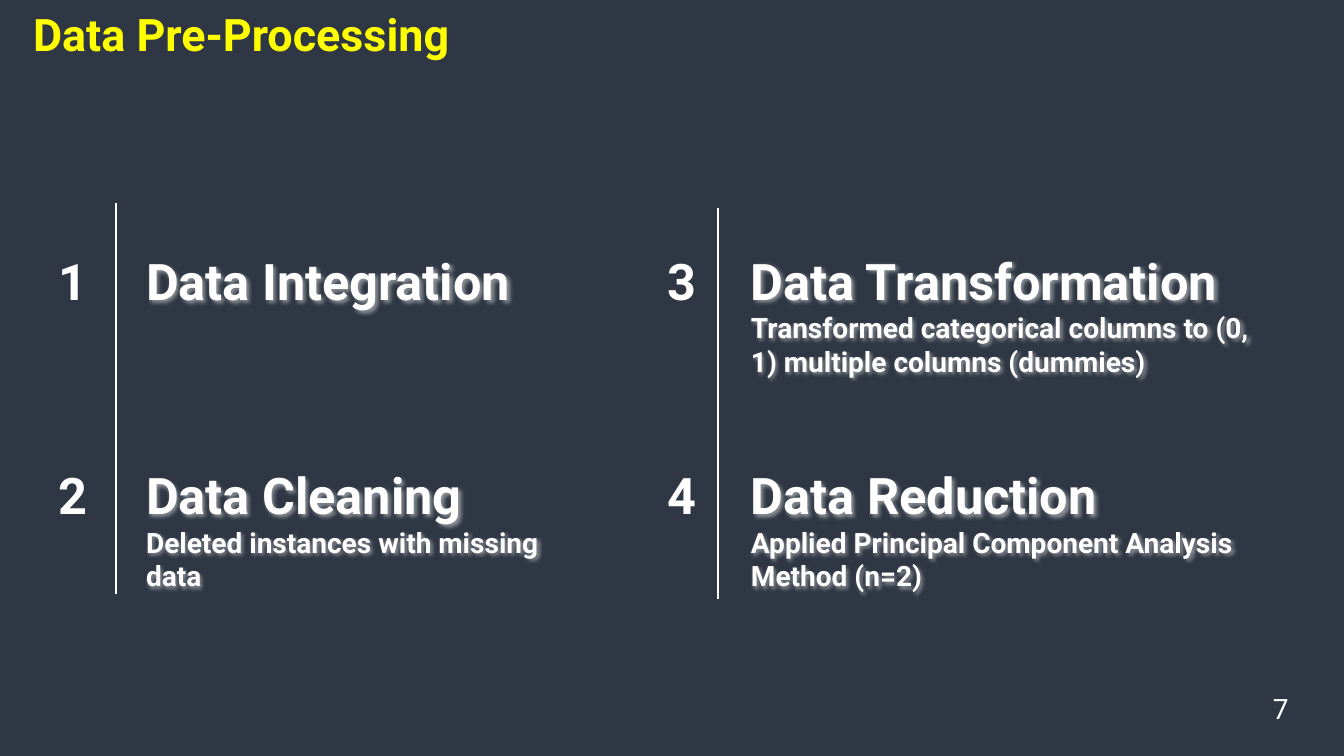
from lxml import etree
from pptx import Presentation
from pptx import util as u
from pptx.dml.color import RGBColor
from pptx.enum import shapes, text
from pptx.oxml import ns

WHITE = RGBColor(0xFF, 0xFF, 0xFF)
YELLOW = RGBColor(0xFF, 0xFF, 0x00)
NAVY = RGBColor(0x00, 0x0B, 0x1A)
GLOW = RGBColor(0xB4, 0xB8, 0xBC)

NUMBER = {"size": u.Pt(36), "bold": True}
HEADING = {"size": u.Pt(36), "bold": True}
DETAIL = {"size": u.Pt(20), "bold": True}
TITLE = {"size": u.Pt(32), "bold": True}
PAGE_NUMBER = {"size": u.Pt(20), "bold": False}

STEP_ROWS = (2.43, 4.56)
COLUMNS = [
    {"left": 0.17, "top": 2.01, "rule": 0.98, "text": 1.18, "width": 4.31,
     "steps": [("1", "Data Integration", None),
               ("2", "Data Cleaning", "Deleted instances with missing data")]},
    {"left": 6.21, "top": 2.06, "rule": 0.91, "text": 1.14, "width": 5.19,
     "steps": [("3", "Data Transformation",
                "Transformed categorical columns to (0, 1) multiple columns (dummies)"),
               ("4", "Data Reduction",
                "Applied Principal Component Analysis Method (n=2)")]},
]


def add_child(parent, tag, **attributes):
    return etree.SubElement(parent, ns.qn(tag), **attributes)


def add_text(page, place, lines, color=WHITE, align=text.PP_ALIGN.LEFT, spacing=None):
    box = page.shapes.add_textbox(*map(u.Inches, place))
    frame = box.text_frame
    frame.word_wrap = True
    for index, (words, style) in enumerate(lines):
        para = frame.add_paragraph() if index else frame.paragraphs[0]
        para.alignment = align
        para.line_spacing = spacing
        span = para.add_run()
        span.text = words
        span.font.name = "Roboto"
        span.font.color.rgb = color
        for name, value in style.items():
            setattr(span.font, name, value)
    return box


def add_glow(box):
    effects = add_child(box._element.spPr, "a:effectLst")
    shadow = add_child(effects, "a:outerShdw", blurRad="38100", dist="22860",
                       dir="2700000", algn="tl", rotWithShape="0")
    tint = add_child(shadow, "a:srgbClr", val=str(GLOW))
    add_child(tint, "a:alpha", val="70000")


def add_backdrop(page, width, height):
    backdrop = page.shapes.add_shape(shapes.MSO_SHAPE.RECTANGLE, 0, 0, width, height)
    backdrop.shadow.inherit = False
    backdrop.fill.solid()
    backdrop.fill.fore_color.rgb = NAVY
    backdrop.line.fill.background()
    tint = backdrop._element.spPr.find(".//" + ns.qn("a:srgbClr"))
    add_child(tint, "a:alpha", val="82000")


def add_step(page, left, top, text_offset, width, step):
    number, heading, detail = step
    add_text(page, (left, top, 0.8, 0.71), [(number, NUMBER)],
             align=text.PP_ALIGN.RIGHT)
    lines = [(heading, HEADING)]
    if detail:
        lines.append((detail, DETAIL))
    height = 1.38 if detail else 0.71
    add_glow(add_text(page, (left + text_offset, top, width, height), lines))


def add_column(page, column):
    left, top = column["left"], column["top"]
    x = u.Inches(left + column["rule"])
    rule = page.shapes.add_connector(shapes.MSO_CONNECTOR.STRAIGHT,
                                     x, u.Inches(top), x, u.Inches(top + 3.88))
    rule.line.color.rgb = WHITE
    rule.line.width = u.Pt(1.75)
    add_child(rule._element.spPr, "a:effectLst")
    for row, step in zip(STEP_ROWS, column["steps"]):
        add_step(page, left, row, column["text"], column["width"], step)


def main():
    deck = Presentation()
    deck.slide_width, deck.slide_height = u.Inches(13.33), u.Inches(7.5)
    page = deck.slides.add_slide(deck.slide_layouts[6])
    add_backdrop(page, deck.slide_width, deck.slide_height)
    add_text(page, (12.38, 6.81, 0.5, 0.41), [("7", PAGE_NUMBER)],
             align=text.PP_ALIGN.RIGHT)
    add_text(page, (0.23, 0.08, 6.9, 0.57), [("Data Pre-Processing", TITLE)],
             color=YELLOW, spacing=0.9)
    for column in COLUMNS:
        add_column(page, column)
    deck.save("out.pptx")


if __name__ == "__main__":
    main()
